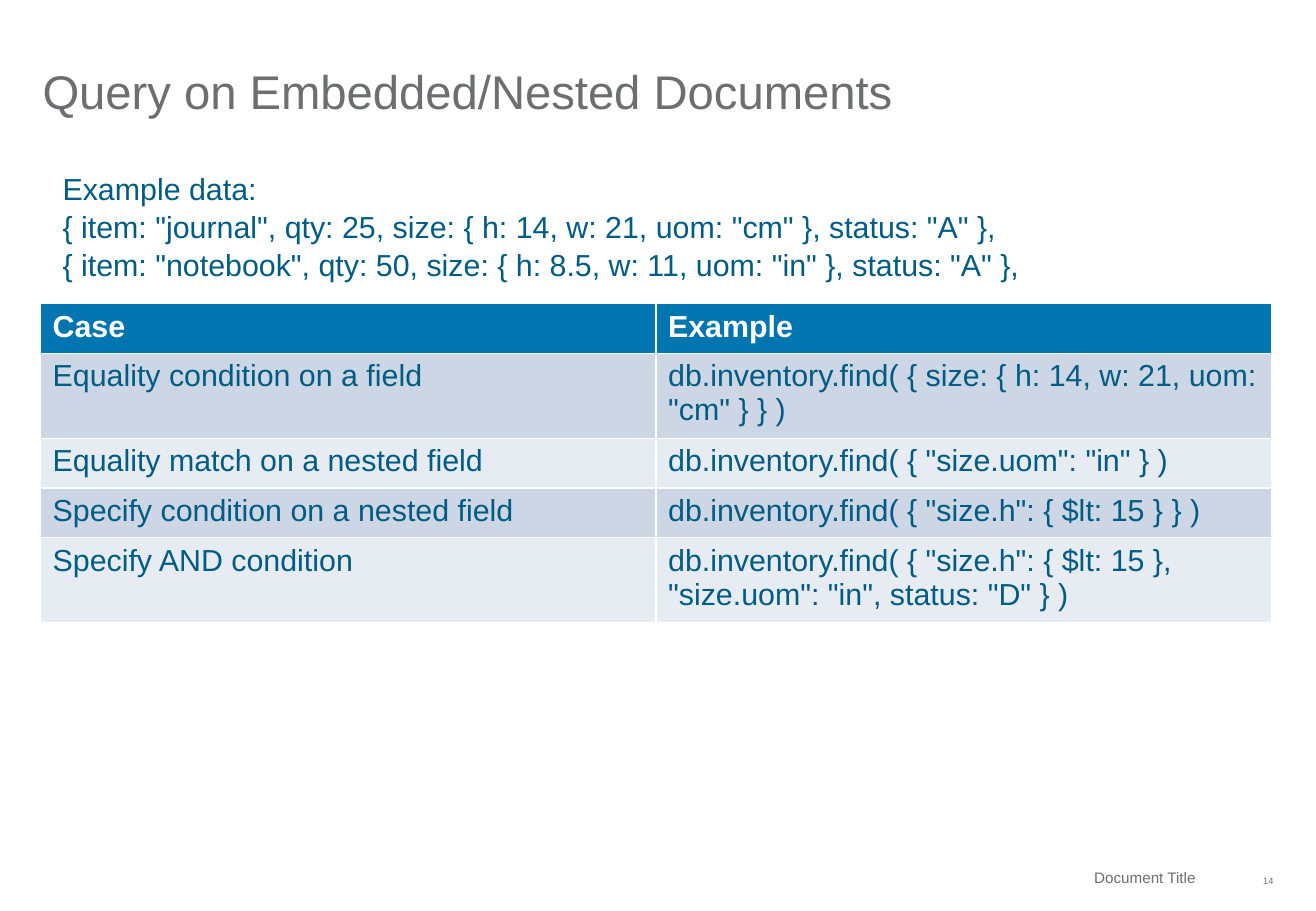
from dataclasses import dataclass

from pptx import Presentation
from pptx.dml.color import RGBColor
from pptx.enum.text import MSO_ANCHOR, PP_ALIGN
from pptx.slide import Slide
from pptx.text.text import TextFrame
from pptx.util import Emu, Pt

EMU_PER_PX = 7620
GREY, NAVY, WHITE = "6D6E71", "005C84", "FFFFFF"
HEADER_FILL = "0075B0"
BAND_FILLS = ("CCD6E4", "E7ECF2")
COLUMN_WIDTH, ROW_HEIGHT = 608, 49


@dataclass(frozen=True)
class TextBlock:
    """A text box with its place in px and its format."""
    lines: tuple[str, ...]
    left: int
    top: int
    width: int
    height: int
    size: float
    color: str
    align: PP_ALIGN = PP_ALIGN.LEFT
    anchor: MSO_ANCHOR = MSO_ANCHOR.TOP
    insets: tuple[int, int, int, int] = (0, 0, 0, 0)
    spacing: float = 1.0
    wrap: bool = True


@dataclass(frozen=True)
class QueryCase:
    """One table row: a query case and its example."""
    case: str
    example: str


TITLE = TextBlock(("Query on Embedded/Nested Documents",), 42, 26, 1216, 92, 28, GREY,
                  anchor=MSO_ANCHOR.BOTTOM, spacing=0.9)
EXAMPLE_DATA = TextBlock(
    ("Example data:",
     '{ item: "journal", qty: 25, size: { h: 14, w: 21, uom: "cm" }, status: "A" },',
     '{ item: "notebook", qty: 50, size: { h: 8.5, w: 11, uom: "in" }, status: "A" },'),
    50, 160, 978, 121, 18, NAVY, insets=(12, 6, 12, 6), spacing=1.05, wrap=False)
FOOTER = TextBlock(("Document Title",), 743, 850, 456, 34, 9, GREY,
                   PP_ALIGN.RIGHT, MSO_ANCHOR.MIDDLE, (0, 0, 18, 0))
PAGE_NUMBER = TextBlock(("14",), 1211, 850, 47, 40, 5.5, GREY,
                        PP_ALIGN.RIGHT, MSO_ANCHOR.MIDDLE)

QUERY_CASES = (
    QueryCase("Case", "Example"),
    QueryCase("Equality condition on a field",
              'db.inventory.find( { size: { h: 14, w: 21, uom: "cm" } } )'),
    QueryCase("Equality match on a nested field",
              'db.inventory.find( { "size.uom": "in" } )'),
    QueryCase("Specify condition on a nested field",
              'db.inventory.find( { "size.h": { $lt: 15 } } )'),
    QueryCase("Specify AND condition",
              'db.inventory.find( { "size.h": { $lt: 15 }, "size.uom": "in", status: "D" } )'),
)


def px(length: int) -> Emu:
    """Turn px into EMU."""
    return Emu(length * EMU_PER_PX)


def rgb(value: str) -> RGBColor:
    """Turn a hex string into a colour."""
    return RGBColor.from_string(value)


def write_text(frame: TextFrame, lines: tuple[str, ...], *, size: float, color: str,
               bold: bool = False, align: PP_ALIGN = PP_ALIGN.LEFT,
               spacing: float = 1.0) -> None:
    """Write one paragraph per line in the given format."""
    for index, line in enumerate(lines):
        paragraph = frame.add_paragraph() if index else frame.paragraphs[0]
        paragraph.alignment = align
        paragraph.line_spacing = spacing
        run = paragraph.add_run()
        run.text = line
        run.font.name = "Arial"
        run.font.size = Pt(size)
        run.font.bold = bold
        run.font.color.rgb = rgb(color)


def draw_text_block(slide: Slide, block: TextBlock) -> None:
    """Draw a text box."""
    frame = slide.shapes.add_textbox(px(block.left), px(block.top),
                                     px(block.width), px(block.height)).text_frame
    frame.word_wrap = block.wrap
    frame.vertical_anchor = block.anchor
    (frame.margin_left, frame.margin_top,
     frame.margin_right, frame.margin_bottom) = map(px, block.insets)
    write_text(frame, block.lines, size=block.size, color=block.color,
               align=block.align, spacing=block.spacing)


def draw_query_table(slide: Slide, cases: tuple[QueryCase, ...]) -> None:
    """Draw the table of query cases under a header row."""
    table = slide.shapes.add_table(len(cases), 2, px(40), px(300), px(2 * COLUMN_WIDTH),
                                   px(ROW_HEIGHT * len(cases))).table
    for row, query in enumerate(cases):
        header = row == 0
        fill = HEADER_FILL if header else BAND_FILLS[(row - 1) % 2]
        for column, text in enumerate((query.case, query.example)):
            cell = table.cell(row, column)
            cell.fill.solid()
            cell.fill.fore_color.rgb = rgb(fill)
            write_text(cell.text_frame, (text,), size=18,
                       color=WHITE if header else NAVY, bold=header)


def main() -> None:
    """Build and save the slide."""
    presentation = Presentation()
    presentation.slide_width, presentation.slide_height = px(1300), px(900)
    slide = presentation.slides.add_slide(presentation.slide_layouts[6])
    for block in (PAGE_NUMBER, FOOTER, TITLE):
        draw_text_block(slide, block)
    draw_query_table(slide, QUERY_CASES)
    draw_text_block(slide, EXAMPLE_DATA)
    presentation.save("out.pptx")


if __name__ == "__main__":
    main()
